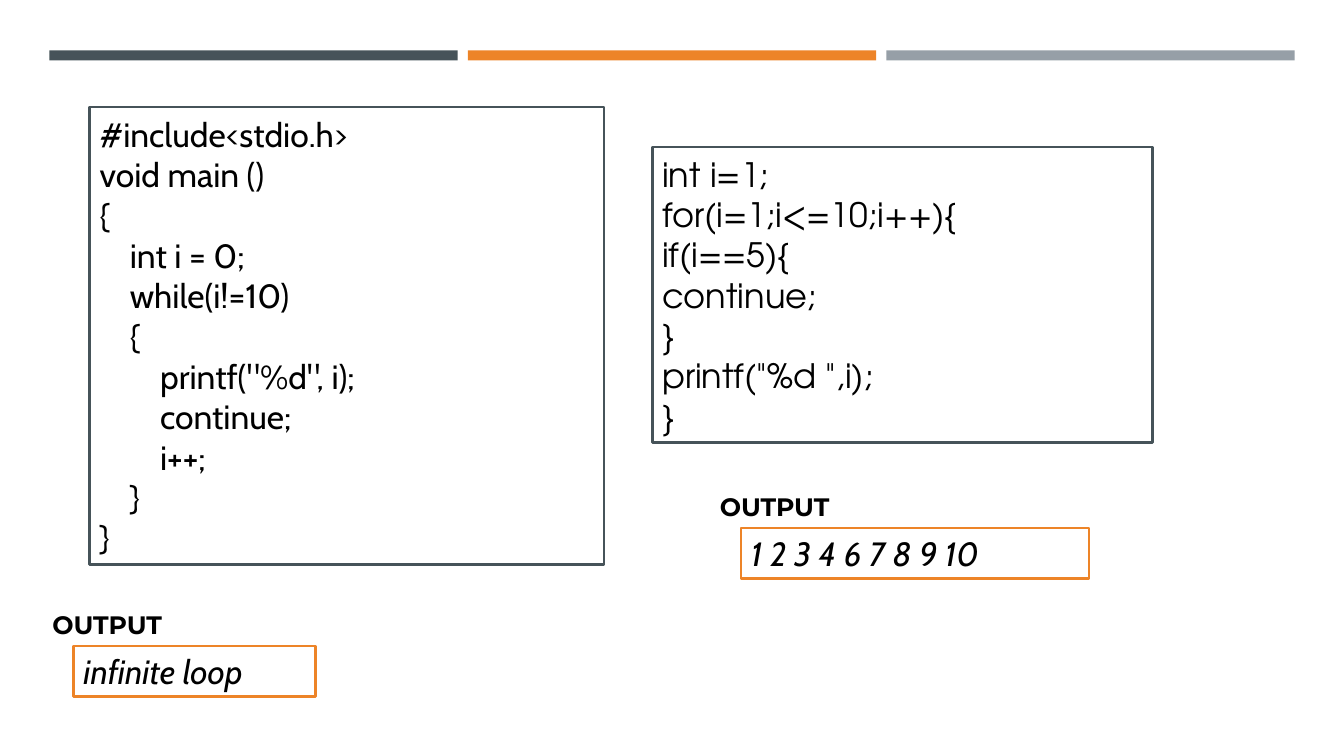
from pptx import Presentation
from pptx.dml.color import RGBColor
from pptx.enum.shapes import MSO_SHAPE as Shape
from pptx.enum.text import MSO_ANCHOR as Anchor, PP_ALIGN as Align
from pptx.util import Pt

PX = 9144  # EMU per px, 100 px to the inch
INDENT = 30

SLATE = RGBColor(0x46, 0x53, 0x59)
ORANGE = RGBColor(0xED, 0x84, 0x28)
GREY = RGBColor(0x96, 0x9F, 0xA7)
WHITE = RGBColor(0xFF, 0xFF, 0xFF)
BLACK = RGBColor(0x00, 0x00, 0x00)

# Each code line is (indent level, text)
WHILE_CODE = [
    (0, "#include<stdio.h>"),
    (0, "void main ()"),
    (0, "{"),
    (1, "int i = 0;"),
    (1, "while(i!=10)"),
    (1, "{"),
    (2, 'printf("%d", i);'),
    (2, "continue;"),
    (2, "i++;"),
    (1, "}"),
    (0, "}"),
]
FOR_CODE = [
    (0, "int i=1;"),
    (0, "for(i=1;i<=10;i++){"),
    (0, "if(i==5){"),
    (0, "continue;"),
    (0, "}"),
    (0, 'printf("%d ",i);'),
    (0, "}"),
]


def px(*lengths):
    return [length * PX for length in lengths]


def add_rect(slide, box, fill, outline=None):
    rect = slide.shapes.add_shape(Shape.RECTANGLE, *px(*box))
    rect.shadow.inherit = False
    rect.fill.solid()
    rect.fill.fore_color.rgb = fill
    if outline is None:
        rect.line.fill.background()
    else:
        rect.line.color.rgb = outline
        rect.line.width = Pt(1.75)
    return rect


def write_lines(frame, lines, font, size, bold=False, italic=False):
    frame.word_wrap = True
    frame.vertical_anchor = Anchor.MIDDLE
    for number, (level, text) in enumerate(lines):
        line = frame.add_paragraph() if number else frame.paragraphs[0]
        line.alignment = Align.LEFT
        if level:
            line._p.get_or_add_pPr().set("marL", str(level * INDENT * PX))
        run = line.add_run()
        run.text = text
        run.font.name = font
        run.font.size = Pt(size)
        run.font.bold = bold
        run.font.italic = italic
        run.font.color.rgb = BLACK


def add_top_bars(slide, left, top, width, height, gap):
    for column, color in enumerate((SLATE, ORANGE, GREY)):
        add_rect(slide, (left + column * (width + gap), top, width, height), color)


def add_code(slide, box, lines, font):
    panel = add_rect(slide, box, WHITE, SLATE)
    write_lines(panel.text_frame, lines, font, 24)


def add_output(slide, box, result):
    left, top, width, height = box
    # Result box
    panel = add_rect(slide, box, WHITE, ORANGE)
    write_lines(panel.text_frame, [(0, result)], "Cabin", 24, italic=True)
    # Heading above it, set out to the left
    heading = slide.shapes.add_textbox(*px(left - 31, top - 42, 151, 40))
    write_lines(heading.text_frame, [(0, "OUTPUT")], "Montserrat", 18, bold=True)


def main():
    deck = Presentation()
    deck.slide_width, deck.slide_height = px(1333, 750)
    slide = deck.slides.add_slide(deck.slide_layouts[6])

    add_top_bars(slide, 49, 50, 405, 10, gap=10)

    # While loop example
    add_code(slide, (89, 106, 510, 454), WHILE_CODE, "Cabin")
    add_output(slide, (73, 641, 240, 50), "infinite loop")

    # For loop example
    add_code(slide, (647, 146, 496, 293), FOR_CODE, "TeX Gyre Adventor")
    add_output(slide, (735, 524, 345, 50), "1 2 3 4 6 7 8 9 10")

    deck.save("out.pptx")


if __name__ == "__main__":
    main()
